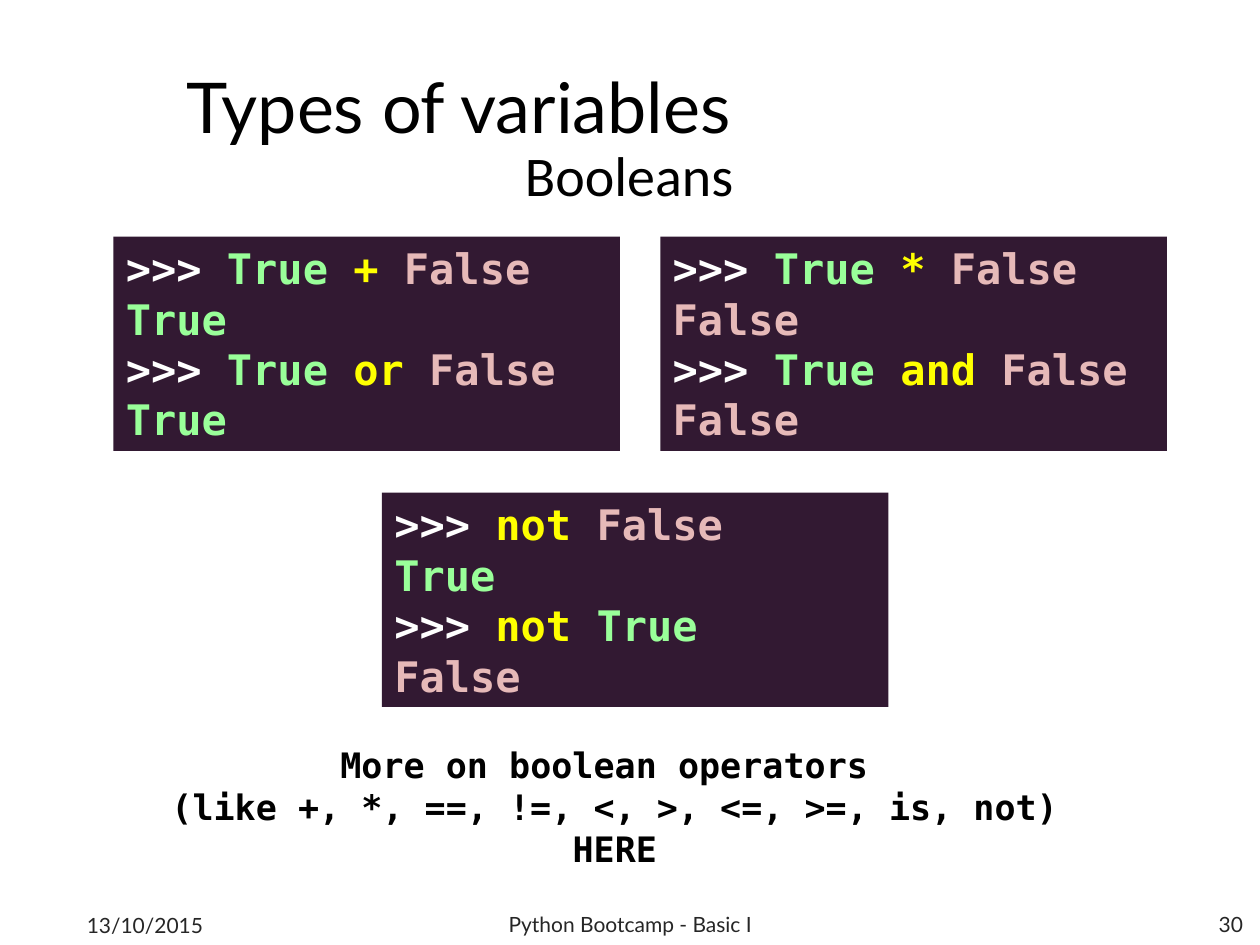
"""Build the slide on boolean variables with python-pptx."""
from pptx import Presentation
from pptx.dml.color import RGBColor
from pptx.enum.shapes import MSO_SHAPE
from pptx.enum.text import MSO_ANCHOR, MSO_AUTO_SIZE, PP_ALIGN
from pptx.util import Pt

RECTANGLE = MSO_SHAPE.RECTANGLE
TOP, MIDDLE = MSO_ANCHOR.TOP, MSO_ANCHOR.MIDDLE
LEFT, CENTER, RIGHT = PP_ALIGN.LEFT, PP_ALIGN.CENTER, PP_ALIGN.RIGHT
NO_AUTOFIT = MSO_AUTO_SIZE.NONE

COLORS = {
    "terminal": "321932", "prompt": "FFFFFF", "operator": "FFFF00",
    "true": "99FF99", "false": "E6B9B8", "text": "000000", "footer": "262626",
}
TOKEN_COLORS = {">>>": "prompt", "True": "true", "False": "false"}
FORMATS = {
    "title": {"name": "Lato", "size": Pt(40), "bold": False},
    "subtitle": {"name": "Calibri", "size": Pt(32), "bold": False},
    "code": {"name": "DejaVu Sans Mono", "size": Pt(24), "bold": True},
    "note": {"name": "DejaVu Sans Mono", "size": Pt(20), "bold": True},
    "footer": {"name": "Lato", "size": Pt(12), "bold": False},
}
TERMINAL_SIZE = (289.5, 122.5)
TERMINALS = [
    (64.8, 135.2, [">>> True + False", "True", ">>> True or False", "True"]),
    (377.3, 135.2, [">>> True * False", "False", ">>> True and False", "False"]),
    (218.2, 281.5, [">>> not False", "True", ">>> not True", "False"]),
]
NOTE = ["More on boolean operators ", "(like +, *, ==, !=, <, >, <=, >=, is, not)", "HERE"]
FOOTERS = [
    ("13/10/2015", 42.5, 514, 168, LEFT),
    ("Python Bootcamp - Basic I", 246.2, 513.4, 228, CENTER),
    ("30", 549.4, 513.4, 168, RIGHT),
]


class SlideBuilder:
    """Hold the style and the current slide."""

    def __init__(self, slide):
        self.slide = slide

    def style(self, font, role, color):
        for attribute, value in FORMATS[role].items():
            setattr(font, attribute, value)
        font.color.rgb = RGBColor.from_string(COLORS[color])

    def paragraphs(self, frame, lines, align, anchor):
        frame.word_wrap = True
        frame.auto_size = NO_AUTOFIT
        frame.vertical_anchor = anchor
        for index, line in enumerate(lines):
            paragraph = frame.paragraphs[0] if index == 0 else frame.add_paragraph()
            paragraph.alignment = align
            yield paragraph, line

    def fill_text(self, frame, lines, role, color, align, anchor=TOP):
        for paragraph, line in self.paragraphs(frame, lines, align, anchor):
            run = paragraph.add_run()
            run.text = line
            self.style(run.font, role, color)

    def title(self, text, left, top, width, height):
        heading = self.slide.shapes.title
        heading.left, heading.top = Pt(left), Pt(top)
        heading.width, heading.height = Pt(width), Pt(height)
        self.fill_text(heading.text_frame, [text], "title", "text", LEFT, MIDDLE)

    def text(self, lines, left, top, width, height, role, color, align, anchor=TOP):
        box = self.slide.shapes.add_textbox(Pt(left), Pt(top), Pt(width), Pt(height))
        self.fill_text(box.text_frame, lines, role, color, align, anchor)

    def terminal(self, left, top, lines):
        width, height = TERMINAL_SIZE
        panel = self.slide.shapes.add_shape(
            RECTANGLE, Pt(left), Pt(top), Pt(width), Pt(height))
        panel.shadow.inherit = False
        panel.fill.solid()
        panel.fill.fore_color.rgb = RGBColor.from_string(COLORS["terminal"])
        panel.line.fill.background()
        for paragraph, line in self.paragraphs(panel.text_frame, lines, LEFT, TOP):
            tokens = line.split()
            for position, token in enumerate(tokens, start=1):
                run = paragraph.add_run()
                run.text = token if position == len(tokens) else token + " "
                self.style(run.font, "code", TOKEN_COLORS.get(token, "operator"))


def main():
    deck = Presentation()
    deck.slide_width, deck.slide_height = Pt(720), Pt(540)
    builder = SlideBuilder(deck.slides.add_slide(deck.slide_layouts[5]))
    builder.title("Types of variables", 99.4, 31.7, 584.6, 56.9)
    builder.text(["Booleans"], 19.4, 77, 680.4, 56.9, "subtitle", "text", CENTER)
    for left, top, lines in TERMINALS:
        builder.terminal(left, top, lines)
    builder.text(NOTE, 64.8, 421.2, 573.1, 79.2, "note", "text", CENTER)
    for text, left, top, width, align in FOOTERS:
        builder.text([text], left, top, width, 28.8, "footer", "footer", align, MIDDLE)
    deck.save("out.pptx")


if __name__ == "__main__":
    main()
